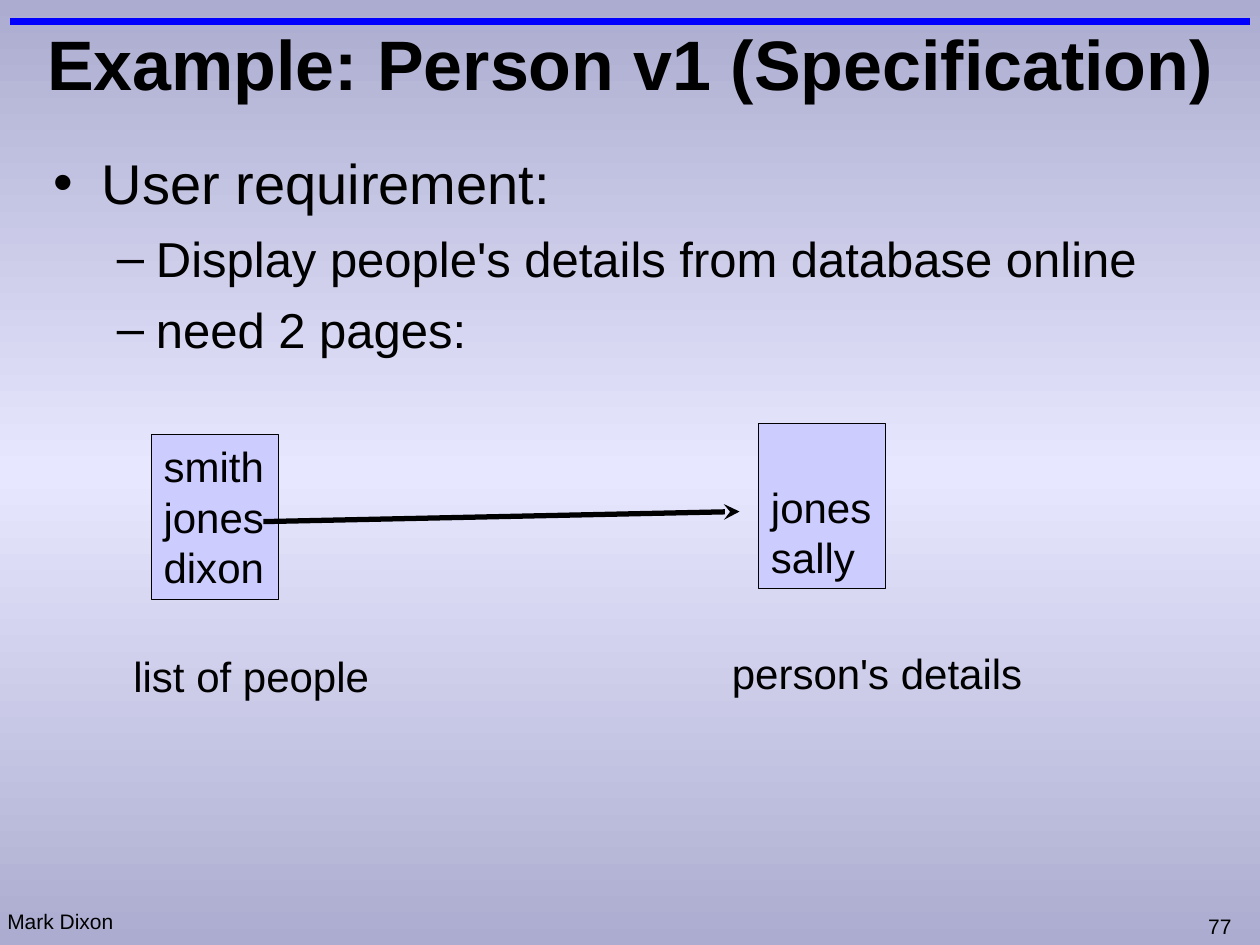
from copy import deepcopy

from lxml.etree import SubElement
from pptx import Presentation
from pptx.dml.color import RGBColor
from pptx.enum.shapes import MSO_CONNECTOR, MSO_SHAPE
from pptx.enum.text import MSO_ANCHOR, MSO_AUTO_SIZE, PP_ALIGN
from pptx.oxml.ns import qn
from pptx.util import Inches, Pt

FONT = "Arial"
BLACK = "000000"


def color(code):
    """Return the colour for a hex string."""
    return RGBColor.from_string(code)


def place(left, top, width, height):
    """Return a position and size in inches as lengths."""
    return [Inches(value) for value in (left, top, width, height)]


def style(paragraph, size, bold=False):
    """Set the font of a whole paragraph."""
    font = paragraph.font
    font.name, font.size, font.bold = FONT, Pt(size), bold
    font.color.rgb = color(BLACK)


def paint_background(slide, edge, middle):
    """Fill the slide with a vertical gradient that is lightest halfway."""
    fill = slide.background.fill
    fill.gradient()
    fill.gradient_angle = 90
    first = fill.gradient_stops[0]._gs
    first.addnext(deepcopy(first))
    for stop, position, code in zip(fill.gradient_stops, (0, 0.5, 1), (edge, middle, edge)):
        stop.position = position
        stop.color.rgb = color(code)


def set_title(slide, text):
    """Place and format the title."""
    title = slide.shapes.title
    title.left, title.top, title.width, title.height = place(0, 0, 10, 1)
    frame = title.text_frame
    frame.text = text
    frame.auto_size = MSO_AUTO_SIZE.NONE
    frame.vertical_anchor = MSO_ANCHOR.MIDDLE
    frame.paragraphs[0].alignment = PP_ALIGN.CENTER
    style(frame.paragraphs[0], 40, bold=True)


def add_label(slide, text, size, left, top, width, height):
    """Add a single line of text."""
    frame = slide.shapes.add_textbox(*place(left, top, width, height)).text_frame
    frame.text = text
    frame.word_wrap = False
    style(frame.paragraphs[0], size)


def add_bullets(slide, items, left, top, width, height):
    """Add a bulleted outline from (level, text) pairs."""
    levels = [("•", 0.38, -0.38, 32), ("–", 0.81, -0.31, 28)]
    frame = slide.shapes.add_textbox(*place(left, top, width, height)).text_frame
    frame.word_wrap = True
    for index, (level, text) in enumerate(items):
        paragraph = frame.add_paragraph() if index else frame.paragraphs[0]
        bullet, margin, indent, size = levels[level]
        paragraph.text = text
        paragraph.level = level
        if index:
            paragraph.space_before = Pt(7)
        properties = paragraph._p.get_or_add_pPr()
        properties.set("marL", str(Inches(margin)))
        properties.set("indent", str(Inches(indent)))
        SubElement(properties, qn("a:buFont"), typeface=FONT)
        SubElement(properties, qn("a:buChar"), char=bullet)
        style(paragraph, size)


def add_page(slide, lines, left, top, anchor=MSO_ANCHOR.TOP):
    """Add a box that stands for a web page."""
    page = slide.shapes.add_shape(MSO_SHAPE.RECTANGLE, *place(left, top, 1.01, 1.31))
    page.shadow.inherit = False
    page.fill.solid()
    page.fill.fore_color.rgb = color("CCCCFF")
    page.line.color.rgb = color(BLACK)
    page.line.width = Pt(0.75)
    frame = page.text_frame
    frame.text = "\n".join(lines)
    frame.word_wrap = False
    frame.vertical_anchor = anchor
    for paragraph in frame.paragraphs:
        paragraph.alignment = PP_ALIGN.LEFT
        style(paragraph, 24)


def add_line(slide, start, end, code, width, arrow=False):
    """Add a straight line, with an arrowhead at its end if wanted."""
    ends = [Inches(value) for value in (*start, *end)]
    line = slide.shapes.add_connector(MSO_CONNECTOR.STRAIGHT, *ends)
    line.line.color.rgb = color(code)
    line.line.width = Pt(width)
    if arrow:
        SubElement(line.line._get_or_add_ln(), qn("a:tailEnd"), type="stealth")
    SubElement(line._element.spPr, qn("a:effectLst"))


def main():
    """Build the slide and save it."""
    deck = Presentation()
    deck.slide_width, deck.slide_height = Inches(10), Inches(7.5)
    slide = deck.slides.add_slide(deck.slide_layouts[5])
    paint_background(slide, "ACACD0", "E7E7FF")

    add_label(slide, "77", 12, 9.49, 7.2, 0.4, 0.3)
    add_line(slide, (0.08, 0.17), (9.92, 0.17), "0000FF", 4)
    add_label(slide, "Mark Dixon", 12, -0.04, 7.16, 1.04, 0.3)

    set_title(slide, "Example: Person v1 (Specification)")
    requirements = [
        (0, "User requirement:"),
        (1, "Display people's details from database online"),
        (1, "need 2 pages:"),
    ]
    add_bullets(slide, requirements, 0.33, 1.13, 9.33, 6.03)

    add_page(slide, ["smith", "jones", "dixon"], 1.2, 3.45)
    add_label(slide, "list of people", 24, 0.96, 5.11, 2.07, 0.5)
    add_page(slide, ["jones", "sally"], 6.02, 3.36, MSO_ANCHOR.BOTTOM)
    add_label(slide, "person's details", 24, 5.71, 5.09, 2.51, 0.5)
    add_line(slide, (2.09, 4.14), (5.87, 4.06), BLACK, 3, arrow=True)

    deck.save("out.pptx")


if __name__ == "__main__":
    main()
